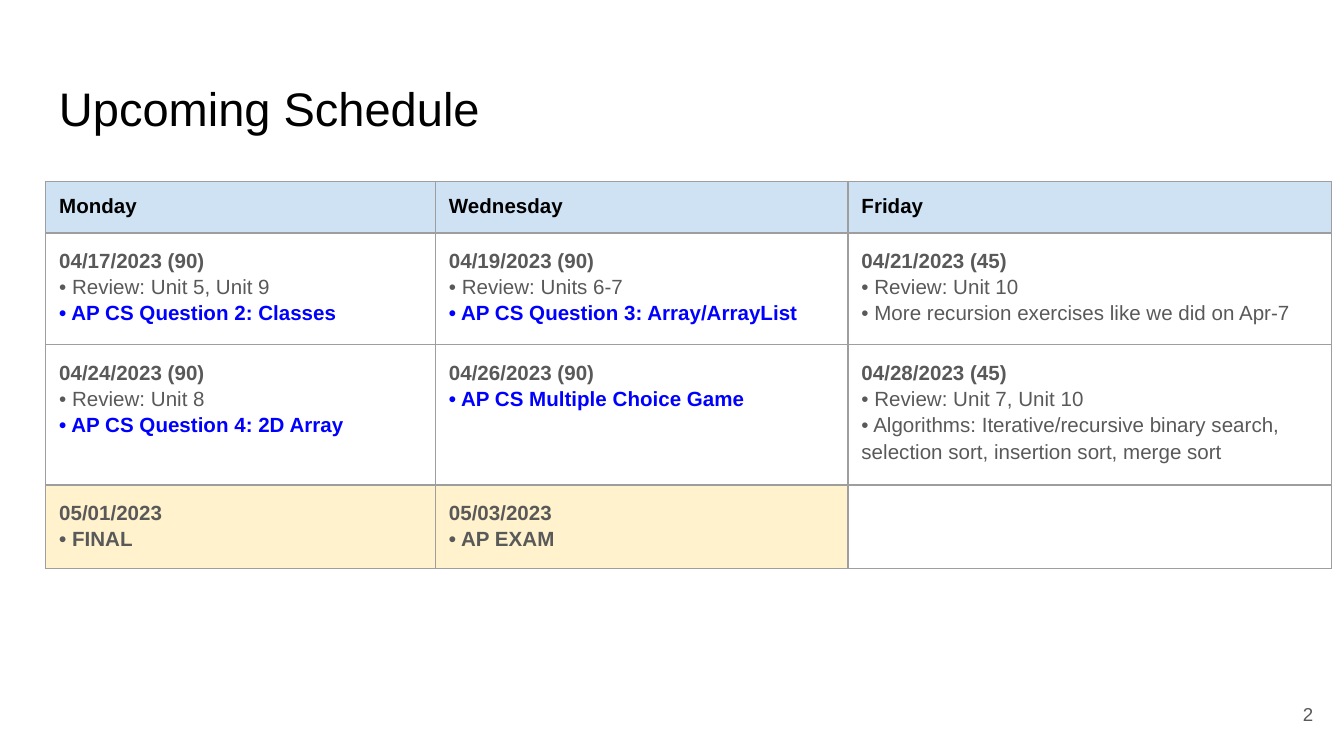
from lxml import etree
from pptx import Presentation, util as u
from pptx.dml.color import RGBColor
from pptx.enum import text
from pptx.oxml import ns

BLACK = RGBColor(0x00, 0x00, 0x00)
GRAY = RGBColor(0x59, 0x59, 0x59)
BLUE = RGBColor(0x00, 0x00, 0xFF)
HEADER_FILL = RGBColor(0xCF, 0xE2, 0xF3)
EXAM_FILL = RGBColor(0xFF, 0xF2, 0xCC)
BORDER = RGBColor(0x9E, 0x9E, 0x9E)

DATE = {"bold": True, "color": GRAY}
TASK = {"bold": False, "color": GRAY}
PRACTICE = {"bold": True, "color": BLUE}
HEADING = {"bold": True, "color": BLACK}

COLUMN_WIDTHS = [2.9, 3.07, 3.6]
ROW_HEIGHTS = [0.33, 0.67, 0.66, 0.58]
# Each cell is a list of (line, style) pairs.
SCHEDULE = [
    [[(day, HEADING)] for day in ("Monday", "Wednesday", "Friday")],
    [
        [("04/17/2023 (90)", DATE), ("• Review: Unit 5, Unit 9", TASK),
         ("• AP CS Question 2: Classes", PRACTICE)],
        [("04/19/2023 (90)", DATE), ("• Review: Units 6-7", TASK),
         ("• AP CS Question 3: Array/ArrayList", PRACTICE)],
        [("04/21/2023 (45)", DATE), ("• Review: Unit 10", TASK),
         ("• More recursion exercises like we did on Apr-7", TASK)],
    ],
    [
        [("04/24/2023 (90)", DATE), ("• Review: Unit 8", TASK),
         ("• AP CS Question 4: 2D Array", PRACTICE)],
        [("04/26/2023 (90)", DATE), ("• AP CS Multiple Choice Game", PRACTICE)],
        [("04/28/2023 (45)", DATE), ("• Review: Unit 7, Unit 10", TASK),
         ("• Algorithms: Iterative/recursive binary search, "
          "selection sort, insertion sort, merge sort", TASK)],
    ],
    [
        [("05/01/2023", DATE), ("• FINAL", DATE)],
        [("05/03/2023", DATE), ("• AP EXAM", DATE)],
        [],
    ],
]


def add_span(para, words, size, color, bold=False):
    span = para.add_run()
    span.text = words
    for name, value in {"name": "Arial", "size": u.Pt(size), "bold": bold}.items():
        setattr(span.font, name, value)
    span.font.color.rgb = color


def add_border(cell):
    """Draw a thin line on all four sides; call before the cell is filled."""
    properties = cell._tc.get_or_add_tcPr()
    for side in ("lnL", "lnR", "lnT", "lnB"):
        line = etree.SubElement(properties, ns.qn(f"a:{side}"), w=str(u.Pt(0.75)))
        fill = etree.SubElement(line, ns.qn("a:solidFill"))
        etree.SubElement(fill, ns.qn("a:srgbClr"), val=str(BORDER))


deck = Presentation()
deck.slide_width = u.Inches(10)
deck.slide_height = u.Inches(10) * 9 // 16
page = deck.slides.add_slide(deck.slide_layouts[6])

# Title and page number
for words, place, size, color, align in [
    ("Upcoming Schedule", (0.34, 0.49, 9.32, 0.63), 25.2, BLACK, text.PP_ALIGN.LEFT),
    ("2", (9.27, 5.1, 0.6, 0.43), 10, GRAY, text.PP_ALIGN.RIGHT),
]:
    frame = page.shapes.add_textbox(*map(u.Inches, place)).text_frame
    frame.word_wrap = True
    frame.vertical_anchor = text.MSO_ANCHOR.MIDDLE
    for side in ("left", "right", "top", "bottom"):
        setattr(frame, f"margin_{side}", u.Inches(0.1))
    frame.paragraphs[0].alignment = align
    add_span(frame.paragraphs[0], words, size, color)

# Schedule table
table = page.shapes.add_table(
    len(ROW_HEIGHTS), len(COLUMN_WIDTHS), u.Inches(0.34), u.Inches(1.35),
    u.Inches(sum(COLUMN_WIDTHS)), u.Inches(sum(ROW_HEIGHTS))).table
table.first_row = table.horz_banding = False
for column, width in zip(table.columns, COLUMN_WIDTHS):
    column.width = u.Inches(width)
for row, height in zip(table.rows, ROW_HEIGHTS):
    row.height = u.Inches(height)

for row_index, entries in enumerate(SCHEDULE):
    for column_index, lines in enumerate(entries):
        cell = table.cell(row_index, column_index)
        for side in ("left", "right", "top", "bottom"):
            setattr(cell, f"margin_{side}", u.Inches(0.1))
        add_border(cell)
        if row_index == 0:
            cell.fill.solid()
            cell.fill.fore_color.rgb = HEADER_FILL
        elif row_index == len(SCHEDULE) - 1 and lines:
            cell.fill.solid()
            cell.fill.fore_color.rgb = EXAM_FILL
        else:
            cell.fill.background()

        para = cell.text_frame.paragraphs[0]
        if row_index > 0:
            para.line_spacing = 1.15
            para.space_after = u.Pt(12)
        for line_index, (words, style) in enumerate(lines):
            if line_index:
                para.add_line_break()
            add_span(para, words, 11, **style)
        # The end mark sets the height of the last line
        etree.SubElement(para._p, ns.qn("a:endParaRPr"), sz="1100")

deck.save("out.pptx")
